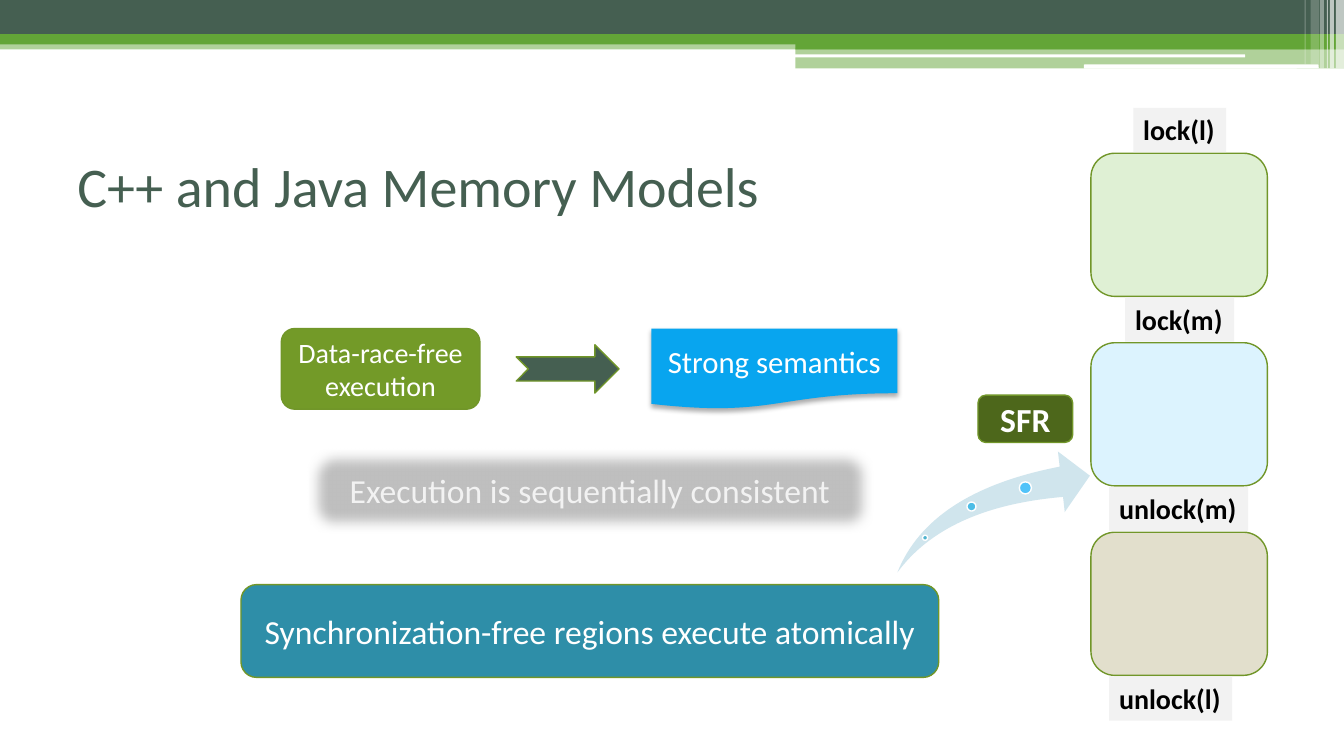
from lxml.etree import SubElement
from pptx import Presentation
from pptx.dml.color import RGBColor
from pptx.enum.shapes import MSO_SHAPE
from pptx.enum.text import MSO_ANCHOR, PP_ALIGN
from pptx.oxml.ns import qn
from pptx.util import Pt

SCALE = 9144
DARK, GREEN, EDGE, WHITE = "455F51", "63A537", "719629", "FFFFFF"


def px(n):
    return n * SCALE


def tint(code):
    return RGBColor.from_string(code)


class Board:
    font = "Calibri"

    def __init__(self, deck):
        self.slide = deck.slides.add_slide(deck.slide_layouts[6])

    def shape(self, kind, box, fill, line=None, width=1, alpha=100):
        item = self.slide.shapes.add_shape(kind, *map(px, box))
        item.shadow.inherit = False
        self.paint(item, fill, alpha)
        if line:
            item.line.color.rgb = tint(line)
            item.line.width = Pt(width)
        else:
            item.line.fill.background()
        return item

    def paint(self, item, fill, alpha=100):
        item.fill.solid()
        item.fill.fore_color.rgb = tint(fill)
        if alpha < 100:
            color = item._element.spPr.find(qn("a:solidFill"))[0]
            SubElement(color, qn("a:alpha"), val=str(alpha * 1000))

    def bar(self, box, fill, alpha=100, kind=MSO_SHAPE.RECTANGLE):
        return self.shape(kind, box, fill, alpha=alpha)

    def letter(self, item, text, size, color=WHITE, bold=False,
               align=PP_ALIGN.CENTER, anchor=MSO_ANCHOR.MIDDLE, wrap=True):
        frame = item.text_frame
        frame.text = text
        frame.word_wrap = wrap
        frame.vertical_anchor = anchor
        para = frame.paragraphs[0]
        para.alignment = align
        font = para.runs[0].font
        font.name, font.size, font.bold = self.font, Pt(size), bold
        font.color.rgb = tint(color)

    def card(self, box, text, size, fill, line=None, width=1, bold=False,
             color=WHITE, kind=MSO_SHAPE.ROUNDED_RECTANGLE):
        item = self.shape(kind, box, fill, line, width)
        self.letter(item, text, size, color, bold)
        return item

    def title(self, box, text):
        item = self.slide.shapes.add_textbox(*map(px, box))
        self.letter(item, text, 40, DARK, align=PP_ALIGN.LEFT)

    def label(self, box, text):
        item = self.slide.shapes.add_textbox(*map(px, box))
        self.paint(item, "F2F2F2")
        self.letter(item, text, 20, "000000", True, PP_ALIGN.LEFT,
                    MSO_ANCHOR.TOP, False)

    def effect(self, item, tag, **attrs):
        group = item._element.spPr.find(qn("a:effectLst"))
        return SubElement(group, qn(tag), **attrs)

    def shade(self, item):
        node = self.effect(item, "a:outerShdw", blurRad="44450",
                           dist="27940", dir="5400000", rotWithShape="0")
        color = SubElement(node, qn("a:srgbClr"), val="000000")
        SubElement(color, qn("a:alpha"), val="32000")

    def soften(self, item):
        self.effect(item, "a:softEdge", rad="112500")


def banner(board):
    for box, fill, alpha in [
        ((0, 40, 1333, 9), GREEN, 50),
        ((0, 0, 1333, 34), DARK, 100),
        ((0, 34, 1333, 10), GREEN, 100),
        ((789, 39, 544, 10), GREEN, 100),
        ((789, 48, 544, 20), GREEN, 50),
    ]:
        board.bar(box, fill, alpha)
    for box in [(788, 54, 447, 3), (1075, 64, 233, 4)]:
        board.bar(box, WHITE, kind=MSO_SHAPE.ROUNDED_RECTANGLE)
    for left, width, height, alpha in [
        (1325, 8, 68, 65), (1319, 4, 68, 65), (1316, 1, 68, 60),
        (1309, 4, 68, 40), (1300, 8, 64, 20), (1294, 1, 64, 30),
    ]:
        board.bar((left, 0, width, height), WHITE, alpha)


def claims(board):
    board.title((67, 125, 1200, 117), "C++ and Java Memory Models")
    board.card((279, 326, 197, 80), "Data-race-free execution", 20,
               "739A28", EDGE)
    board.shape(MSO_SHAPE.NOTCHED_RIGHT_ARROW, (512, 342, 102, 48),
                DARK, EDGE)
    strong = board.card((646, 326, 244, 80), "Strong semantics", 22,
                        "08A5EF", kind=MSO_SHAPE.FLOWCHART_DOCUMENT)
    board.shade(strong)
    faded = board.card((305, 445, 560, 83),
                       "Execution is sequentially consistent", 24,
                       "BFBFBF", WHITE, 1.5, color="F2F2F2")
    board.soften(faded)
    board.card((239, 580, 692, 92),
               "Synchronization-free regions execute atomically", 24,
               "2E8EA8", EDGE)


def regions(board):
    for row, fill in enumerate(["DFF0D4", "DCF3FE", "E2DFCC"]):
        board.shape(MSO_SHAPE.ROUNDED_RECTANGLE,
                    (1082, 152 + 188 * row, 175, 142), fill, EDGE)
    for row, (text, left, width) in enumerate([
        ("lock(l)", 1124, 92), ("lock(m)", 1116, 108),
        ("unlock(m)", 1100, 138), ("unlock(l)", 1100, 122),
    ]):
        board.label((left, 107 + 188 * row, width, 44), text)


def swoosh(board):
    arrow = board.shape(MSO_SHAPE.SWOOSH_ARROW, (890, 448, 191, 120),
                        "D0E5ED")
    arrow.adjustments[0] = arrow.adjustments[1] = 0.25
    for left, top, size, fill in [
        (915, 531, 5, "4EB3CF"), (959, 498, 9, "4DBDE6"),
        (1011, 478, 12, "51C3F9"),
    ]:
        board.shape(MSO_SHAPE.OVAL, (left, top, size, size), fill, WHITE)
    board.card((970, 392, 94, 47), "SFR", 24, "4D671B", EDGE, bold=True)


def main():
    deck = Presentation()
    deck.slide_width, deck.slide_height = px(1333), px(750)
    board = Board(deck)
    for part in (banner, claims, regions, swoosh):
        part(board)
    deck.save("out.pptx")


if __name__ == "__main__":
    main()
